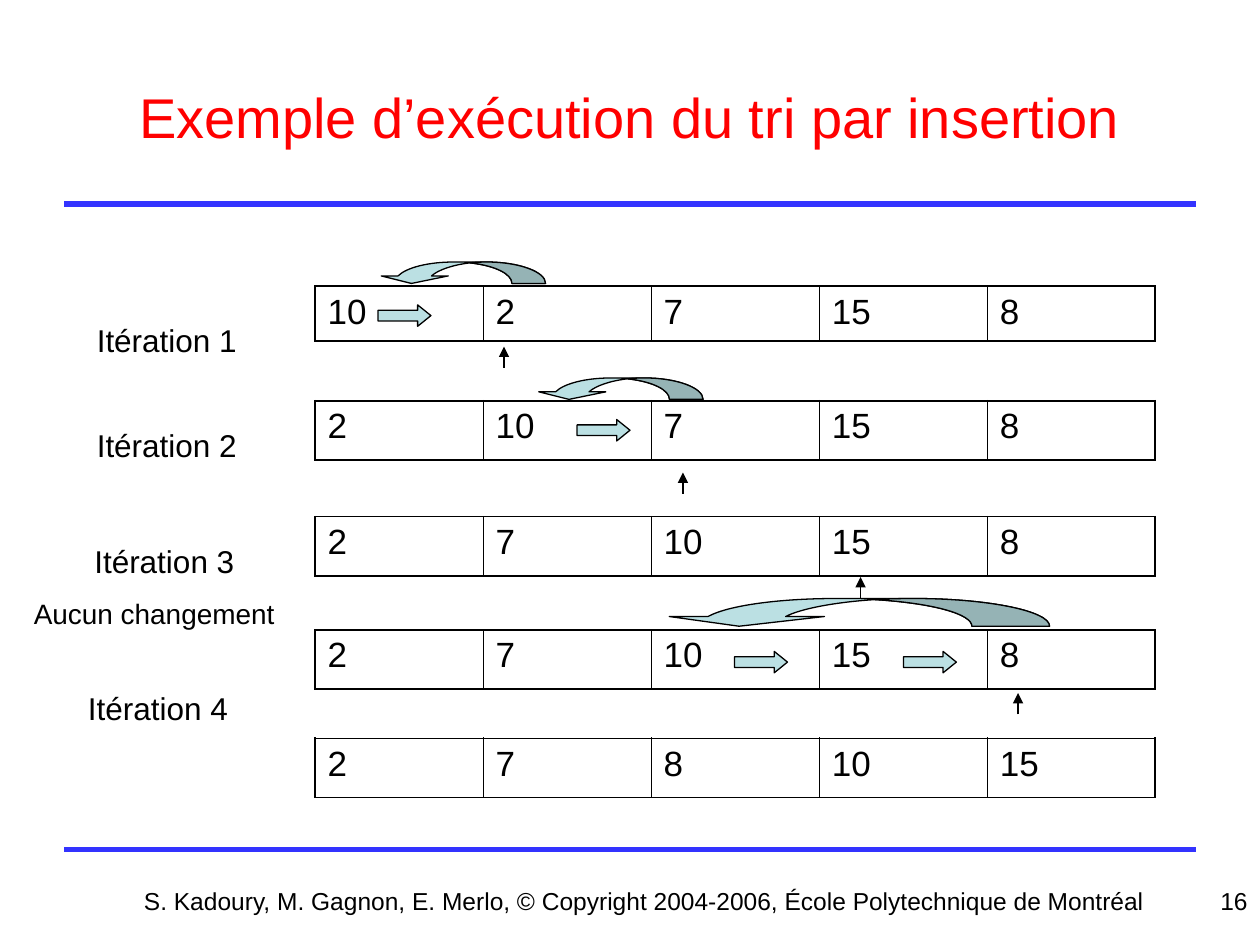
import pptx
import pptx.dml.color
import pptx.enum.shapes
import pptx.enum.text
import pptx.oxml
import pptx.oxml.ns
import pptx.util

Inches = pptx.util.Inches
Pt = pptx.util.Pt
RGBColor = pptx.dml.color.RGBColor
ALIGN = pptx.enum.text.PP_ALIGN
ANCHOR = pptx.enum.text.MSO_ANCHOR
SHAPE = pptx.enum.shapes.MSO_SHAPE
NS = pptx.oxml.ns.nsdecls("a")

RED = RGBColor(0xFF, 0x00, 0x00)
BLUE = RGBColor(0x33, 0x33, 0xFF)
BLACK = RGBColor(0x00, 0x00, 0x00)
PALE = RGBColor(0xBB, 0xE0, 0xE3)

TITLE = {"size": Pt(32), "name": "Arial"}
CELL = {"size": Pt(20), "name": "Arial"}
LABEL = {"size": Pt(18), "name": "Arial"}
NOTE = {"size": Pt(16), "name": "Arial"}
FOOT = {"size": Pt(14), "name": "Arial"}

# Curved arrow in percent of its box: two points make a line, six a curve
START = [(100, 100), (100, 45, 84, 0, 65, 0)]
INNER = (70, 17, 80, 56, 80, 100)
BAND = START + [(45, 0), (30, 0, 17, 26, 12, 65), (2, 65), (20, 100), (42, 65),
                (32, 65), (36, 36, 45, 13, 55, 4), INNER]
TAIL = START + [(62, 0, 58, 1, 55, 4), INNER]

# Each step: top, row height, values, and marks as offsets from the row's corner:
# arc (left, top, width, height), shifts (left, top), pointer (x, top)
STEPS = [
    (2.27, 0.43, [10, 2, 7, 15, 8], (0.5, -0.19, 1.33, 0.17), [(0.5, 0.15)], (1.5, 0.48)),
    (3.18, 0.47, [2, 10, 7, 15, 8], (1.75, -0.18, 1.33, 0.17), [(2.08, 0.15)], (2.92, 0.57)),
    (4.1, 0.47, [2, 7, 10, 15, 8], None, [], (4.33, 0.48)),
    (5, 0.47, [2, 7, 10, 15, 8], (2.75, -0.25, 3.08, 0.22),
     [(3.33, 0.17), (4.67, 0.17)], (5.58, 0.5)),
    (5.86, 0.47, [2, 7, 8, 10, 15], None, [], None),
]


def style(para, form, color=BLACK):
    for key, value in form.items():
        setattr(para.font, key, value)
    para.font.color.rgb = color


def add_text(slide, box, text, form, color=BLACK, align=ALIGN.LEFT, anchor=ANCHOR.TOP):
    frame = slide.shapes.add_textbox(*map(Inches, box)).text_frame
    frame.word_wrap = True
    frame.vertical_anchor = anchor
    para = frame.paragraphs[0]
    para.text = text
    para.alignment = align
    style(para, form, color)
    return frame


def add_line(slide, start, end, color, width, arrow=False):
    line = slide.shapes.add_connector(
        pptx.enum.shapes.MSO_CONNECTOR.STRAIGHT, *map(Inches, start + end))
    line.line.color.rgb = color
    line.line.width = Pt(width)
    if arrow:
        line.line._get_or_add_ln().append(
            pptx.oxml.parse_xml(f'<a:tailEnd {NS} type="triangle"/>'))
    line._element.spPr.append(pptx.oxml.parse_xml(f"<a:effectLst {NS}/>"))


def paint(shape):
    shape.shadow.inherit = False
    shape.fill.solid()
    shape.fill.fore_color.rgb = PALE
    shape.line.color.rgb = BLACK
    shape.line.width = Pt(0.75)


def add_row(slide, box, values):
    """One array drawn as a table with a thicker outer frame."""
    table = slide.shapes.add_table(1, len(values), *map(Inches, box)).table
    table.first_row = table.horz_banding = False
    last = len(values) - 1
    for col, value in enumerate(values):
        cell = table.cell(0, col)
        cell.text = str(value)
        style(cell.text_frame.paragraphs[0], CELL)
        edges = {"L": col == 0, "R": col == last, "T": True, "B": True}
        for side, outer in edges.items():
            width = Pt(1.08 if outer else 0.45)
            cell._tc.get_or_add_tcPr().append(pptx.oxml.parse_xml(
                f'<a:ln{side} {NS} w="{width}"><a:solidFill>'
                f'<a:srgbClr val="{BLACK}"/></a:solidFill></a:ln{side}>'))
        cell.fill.background()


def trace(parts, fill):
    """Outline element made of lines and Bézier curves."""
    steps = []
    for i, part in enumerate(parts):
        tag = "moveTo" if i == 0 else "lnTo" if len(part) == 2 else "cubicBezTo"
        points = "".join(f'<a:pt x="{x}" y="{y}"/>' for x, y in zip(part[::2], part[1::2]))
        steps.append(f"<a:{tag}>{points}</a:{tag}>")
    return pptx.oxml.parse_xml(
        f'<a:path {NS} w="100" h="100" fill="{fill}">{"".join(steps)}<a:close/></a:path>')


def add_arc(slide, box):
    """Curved arrow to the left: a pale band with its head, and a darker tail."""
    left, top, width, height = map(Inches, box)
    build = slide.shapes.build_freeform(left, top)
    build.add_line_segments([(left + width, top), (left + width, top + height)])
    shape = build.convert_to_shape()
    outline = next(shape._element.spPr.iter(pptx.oxml.ns.qn("a:pathLst")))
    outline.clear()
    outline.append(trace(BAND, "norm"))
    outline.append(trace(TAIL, "darkenLess"))
    paint(shape)


def add_step(slide, box, values, arc, shifts, mark):
    left, top = box[:2]
    add_row(slide, box, values)
    if arc:
        add_arc(slide, (left + arc[0], top + arc[1], *arc[2:]))
    for x, y in shifts:
        shape = slide.shapes.add_shape(
            SHAPE.RIGHT_ARROW, *map(Inches, (left + x, top + y, 0.42, 0.17)))
        shape.adjustments[1] = 0.62
        paint(shape)
    if mark:
        x, y = left + mark[0], top + mark[1]
        add_line(slide, (x, y + 0.17), (x, y), BLACK, 0.75, arrow=True)


def add_labels(slide, box):
    left, top = box
    for number, x, y in ((1, 0.5, 0), (2, 0.5, 0.83), (4, 0.43, 2.92)):
        add_text(slide, (left + x, top + y, 1.33, 0.4), f"Itération {number}", LABEL)
    frame = add_text(slide, (left, top + 1.75, 2.25, 0.81), "Itération 3", LABEL)
    frame.paragraphs[0]._p.get_or_add_pPr().set("marL", str(Inches(0.48)))
    note = frame.add_paragraph()
    note.text = "Aucun changement"
    note.space_before = Pt(10)
    style(note, NOTE)


def add_frame(slide, box):
    """Title, rules and footer."""
    left, top, width, height = box
    for y in (1.62, 6.74):
        add_line(slide, (left + 0.51, top + y), (left + width - 0.51, top + y), BLUE, 3)
    add_text(slide, (left + 0.5, top + 0.3, width - 1, 1.25),
             "Exemple d’exécution du tri par insertion", TITLE, RED,
             ALIGN.CENTER, ANCHOR.MIDDLE)
    foot = top + height - 0.52
    add_text(slide, (left + 0.98, foot, 8.27, 0.52),
             "S. Kadoury, M. Gagnon, E. Merlo, © Copyright 2004-2006, "
             "École Polytechnique de Montréal", FOOT, align=ALIGN.CENTER)
    add_text(slide, (left + width - 2.33, foot, 2.33, 0.52), "16", FOOT, align=ALIGN.RIGHT)


def main():
    deck = pptx.Presentation()
    deck.slide_width, deck.slide_height = Inches(10), Inches(7.5)
    slide = deck.slides.add_slide(deck.slide_layouts[6])
    add_frame(slide, (0, 0, 10, 7.5))
    add_labels(slide, (0.17, 2.5))
    for top, height, *parts in STEPS:
        add_step(slide, (2.5, top, 6.67, height), *parts)
    deck.save("out.pptx")


if __name__ == "__main__":
    main()
